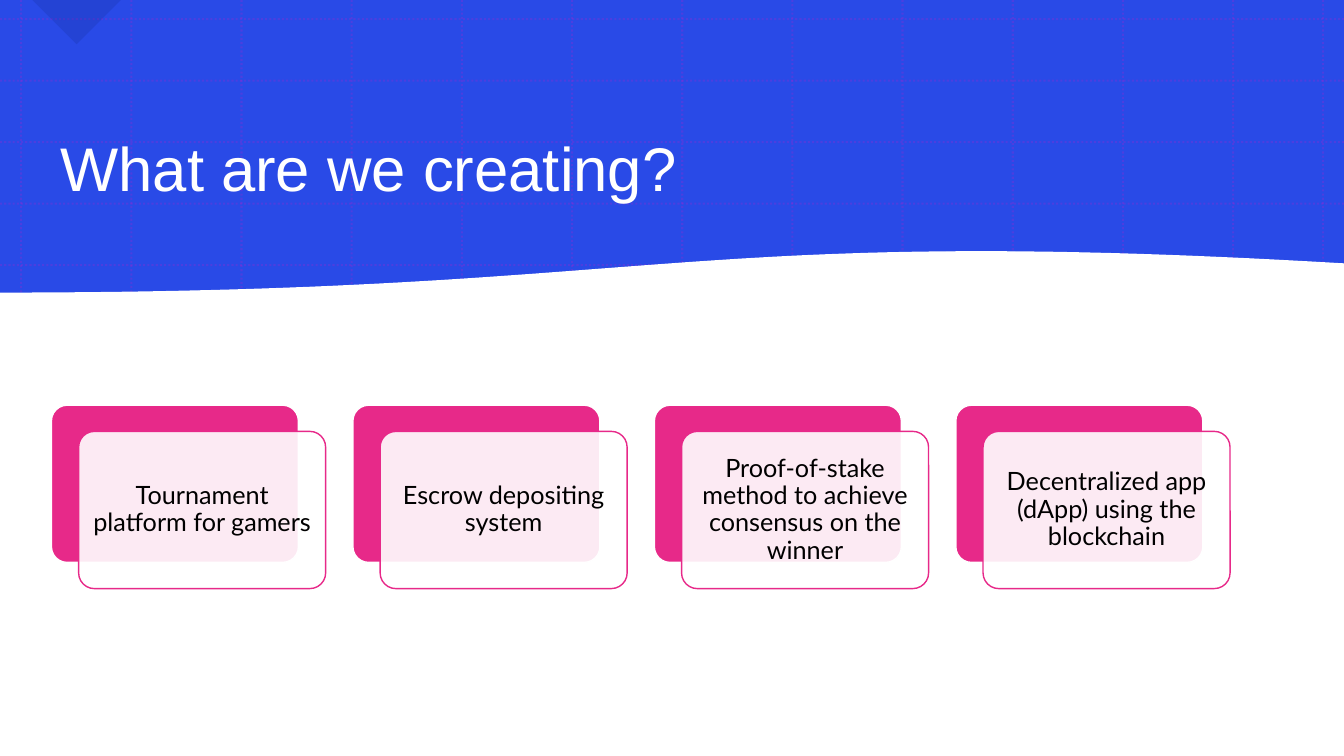
import pptx
import pptx.dml.color
import pptx.enum.dml
import pptx.enum.shapes
import pptx.enum.text
import pptx.oxml.ns
import pptx.util
from lxml import etree

Inches = pptx.util.Inches
Pt = pptx.util.Pt
SHAPE = pptx.enum.shapes.MSO_SHAPE

TITLE = "What are we creating?"
CARDS = [
    "Tournament platform for gamers",
    "Escrow depositing system",
    "Proof-of-stake method to achieve consensus on the winner",
    "Decentralized app (dApp) using the blockchain",
]
COLORS = {
    "blue": "294AE7",
    "navy": "0E217A",
    "grid": "D517C7",
    "pink": "E72989",
    "white": "FFFFFF",
    "black": "000000",
}
WIDTH, HEIGHT = 13.33, 7.5
GRID_COLUMNS = [0.21 + 12.02 / 11 * i for i in range(12)] + [13.12]
GRID_ROWS = [0.19 + 0.61 * i for i in range(5)]
WAVE = [(0, 2.91), (6.65, 2.91), (6.69, 2.23), (WIDTH, 2.62)]
WAVE_STEPS = 60
CARD_LEFT, CARD_TOP, CARD_STEP = 0.51, 4.02, 2.99
CARD_WIDTH, CARD_HEIGHT = 2.45, 1.56
FRONT_SHIFT = (0.27, 0.26)


def rgb(name):
    return pptx.dml.color.RGBColor.from_string(COLORS[name])


def set_opacity(fill_owner, percent):
    """Make the solid colour found inside an XML element see-through."""
    color = fill_owner.find(".//" + pptx.oxml.ns.qn("a:srgbClr"))
    alpha = etree.SubElement(color, pptx.oxml.ns.qn("a:alpha"))
    alpha.set("val", str(percent * 1000))


def paint(shape, fill, line=None, opacity=None):
    shape.shadow.inherit = False
    shape.fill.solid()
    shape.fill.fore_color.rgb = rgb(fill)
    if opacity:
        set_opacity(shape.element.spPr, opacity)
    if line:
        shape.line.color.rgb = rgb(line)
        shape.line.width = Pt(1)
    else:
        shape.line.fill.background()


def add_box(page, kind, left, top, width, height):
    return page.shapes.add_shape(
        kind, Inches(left), Inches(top), Inches(width), Inches(height))


def add_grid_line(page, x1, y1, x2, y2):
    line = page.shapes.add_connector(
        pptx.enum.shapes.MSO_CONNECTOR.STRAIGHT,
        Inches(x1), Inches(y1), Inches(x2), Inches(y2))
    line.line.color.rgb = rgb("grid")
    line.line.width = Pt(1.5)
    line.line.dash_style = pptx.enum.dml.MSO_LINE.ROUND_DOT
    properties = line.element.spPr
    set_opacity(properties, 20)
    etree.SubElement(properties, pptx.oxml.ns.qn("a:effectLst"))


def bezier_point(points, t):
    weights = ((1 - t) ** 3, 3 * t * (1 - t) ** 2, 3 * t ** 2 * (1 - t), t ** 3)
    return tuple(sum(w * p[axis] for w, p in zip(weights, points))
                 for axis in (0, 1))


def add_wave(page):
    outline = [bezier_point(WAVE, i / WAVE_STEPS) for i in range(WAVE_STEPS + 1)]
    outline += [(WIDTH, HEIGHT), (0, HEIGHT)]
    corners = [(Inches(x), Inches(y)) for x, y in outline]
    builder = page.shapes.build_freeform(*corners[0])
    builder.add_line_segments(corners[1:], close=True)
    paint(builder.convert_to_shape(), "white", "white")


def write(box, text, size, font, color, align):
    frame = box.text_frame
    frame.word_wrap = True
    frame.auto_size = pptx.enum.text.MSO_AUTO_SIZE.NONE
    frame.vertical_anchor = pptx.enum.text.MSO_ANCHOR.MIDDLE
    para = frame.paragraphs[0]
    para.alignment = align
    para.line_spacing = 0.9
    span = para.add_run()
    span.text = text
    span.font.size = Pt(size)
    span.font.name = font
    span.font.color.rgb = rgb(color)


def add_title(page):
    title = page.shapes.title
    title.left, title.top = Inches(0.5), Inches(0.79)
    title.width, title.height = Inches(11.75), Inches(1.83)
    write(title, TITLE, 44, "Arial", "white", pptx.enum.text.PP_ALIGN.LEFT)
    page.shapes.element.append(title.element)  # bring to front


def add_card(page, left, text):
    back = add_box(page, SHAPE.ROUNDED_RECTANGLE,
                   left, CARD_TOP, CARD_WIDTH, CARD_HEIGHT)
    paint(back, "pink", "white")
    front = add_box(page, SHAPE.ROUNDED_RECTANGLE, left + FRONT_SHIFT[0],
                    CARD_TOP + FRONT_SHIFT[1], CARD_WIDTH, CARD_HEIGHT)
    paint(front, "white", "pink", opacity=90)
    for card in (back, front):
        card.adjustments[0] = 0.1
    frame = front.text_frame
    frame.margin_left = frame.margin_right = Inches(0.07)
    frame.margin_top = frame.margin_bottom = Inches(0.07)
    write(front, text, 18, "Lato", "black", pptx.enum.text.PP_ALIGN.CENTER)


def main():
    deck = pptx.Presentation()
    deck.slide_width, deck.slide_height = Inches(WIDTH), Inches(HEIGHT)
    page = deck.slides.add_slide(deck.slide_layouts.get_by_name("Title Only"))

    paint(add_box(page, SHAPE.RECTANGLE, 0, 0, WIDTH, HEIGHT), "blue")
    for x in GRID_COLUMNS:
        add_grid_line(page, x, 0, x, HEIGHT)
    for y in GRID_ROWS:
        add_grid_line(page, 0, y, WIDTH, y)
    corner = add_box(page, SHAPE.RIGHT_TRIANGLE, 0.45, -0.31, 0.62, 0.62)
    corner.rotation = 315
    paint(corner, "navy", opacity=17)
    add_wave(page)

    add_title(page)
    for i, text in enumerate(CARDS):
        add_card(page, CARD_LEFT + CARD_STEP * i, text)
    deck.save("out.pptx")


if __name__ == "__main__":
    main()
